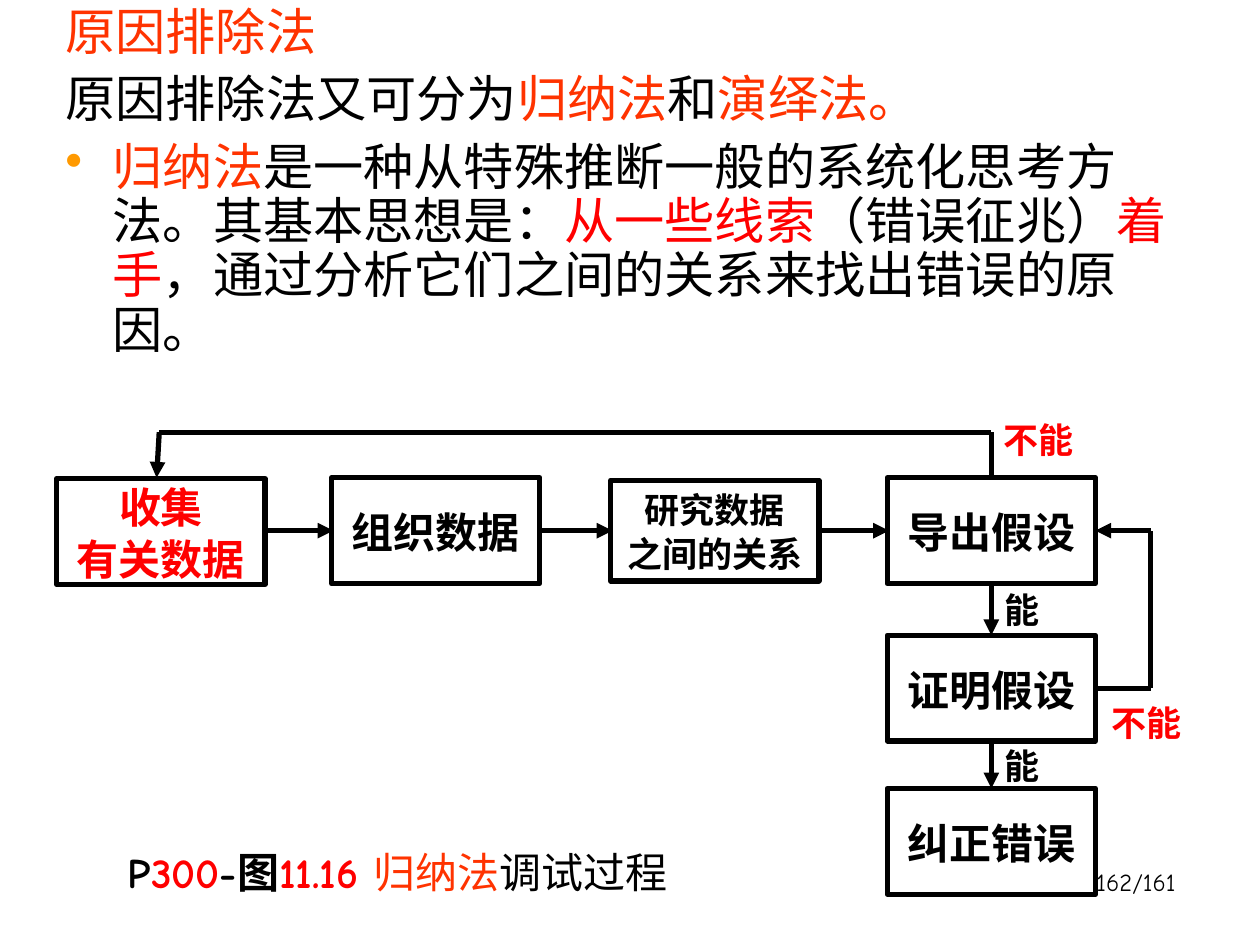
from lxml.etree import SubElement
from pptx import Presentation
from pptx.dml.color import RGBColor
from pptx.enum.shapes import MSO_CONNECTOR, MSO_SHAPE
from pptx.enum.text import MSO_ANCHOR, MSO_AUTO_SIZE, PP_ALIGN
from pptx.oxml.ns import qn
from pptx.util import Pt

BLACK = RGBColor(0x00, 0x00, 0x00)
RED = RGBColor(0xFF, 0x00, 0x00)
ORANGE_RED = RGBColor(0xFF, 0x33, 0x00)
BULLET_COLOR = "FF9900"
CJK, COMIC, TIMES = "Noto Sans CJK SC", "Comic Neue", "Times New Roman"


def add_run(p, text, size, font, color, bold=False):
    r = p.add_run()
    r.text = text
    r.font.size = Pt(size)
    r.font.name = font
    r.font.bold = bold
    r.font.color.rgb = color
    SubElement(r.font._element, qn("a:ea")).set("typeface", CJK)


def add_text(slide, box, wrap=True, grow=False):
    tf = slide.shapes.add_textbox(*map(Pt, box)).text_frame
    tf.word_wrap = wrap
    tf.auto_size = MSO_AUTO_SIZE.SHAPE_TO_FIT_TEXT if grow else MSO_AUTO_SIZE.NONE
    return tf


def fill_centered(tf, lines, size, color):
    tf.vertical_anchor = MSO_ANCHOR.MIDDLE
    for i, line in enumerate(lines):
        p = tf.add_paragraph() if i else tf.paragraphs[0]
        p.alignment = PP_ALIGN.CENTER
        p.line_spacing = 1.05
        add_run(p, line, size, TIMES, color, True)


def add_node(slide, box, lines, size=24, color=BLACK, wrap=False):
    sp = slide.shapes.add_shape(MSO_SHAPE.RECTANGLE, *map(Pt, box))
    sp.shadow.inherit = False
    sp.fill.background()
    sp.line.color.rgb = BLACK
    sp.line.width = Pt(3)
    sp.text_frame.word_wrap = wrap
    fill_centered(sp.text_frame, lines, size, color)


def add_label(slide, box, text, color):
    fill_centered(add_text(slide, box, wrap=False, grow=True), [text], 20, color)


def add_path(slide, points, arrow=True):
    """Join the points with straight lines, the last one with an arrowhead."""
    segments = list(zip(points, points[1:]))
    for i, (start, end) in enumerate(segments):
        cx = slide.shapes.add_connector(MSO_CONNECTOR.STRAIGHT, *map(Pt, start + end))
        cx.line.color.rgb = BLACK
        cx.line.width = Pt(3)
        if arrow and i == len(segments) - 1:
            SubElement(cx.line._get_or_add_ln(), qn("a:tailEnd")).set("type", "triangle")
        SubElement(cx._element.spPr, qn("a:effectLst"))


def add_body(slide, box):
    paragraphs = [
        (False, [("原因排除法", ORANGE_RED)]),
        (False, [("原因排除法又可分为", BLACK), ("归纳法", ORANGE_RED),
                 ("和", BLACK), ("演绎法。", ORANGE_RED)]),
        (True, [("归纳法", ORANGE_RED),
                ("是一种从特殊推断一般的系统化思考方法。其基本思想是：", BLACK),
                ("从一些线索", RED), ("（错误征兆）", BLACK), ("着手", RED),
                ("，通过分析它们之间的关系来找出错误的原因。", BLACK)]),
    ]
    tf = add_text(slide, box)
    for i, (bulleted, runs) in enumerate(paragraphs):
        p = tf.add_paragraph() if i else tf.paragraphs[0]
        p.line_spacing = 0.9
        if i:
            p.space_before = Pt(7.7)
        pPr = p._p.get_or_add_pPr()
        pPr.set("marL", str(Pt(27)))
        pPr.set("indent", str(-Pt(27)))
        pPr.set("hangingPunct", "0")
        if bulleted:
            clr = SubElement(pPr, qn("a:buClr"))
            SubElement(clr, qn("a:srgbClr")).set("val", BULLET_COLOR)
            SubElement(pPr, qn("a:buChar")).set("char", "•")
        else:
            SubElement(pPr, qn("a:buNone"))
        for text, color in runs:
            add_run(p, text, 28.7, CJK, color)


def add_flowchart(slide, box):
    left, top, width, height = box
    node_w, node_h = 119, 60.5
    row_y = top + 38.5
    mid_y = row_y + node_h / 2
    col_x = [left, left + 157, left + 316.5, left + 474.5]
    last_x = col_x[3]
    center_x = last_x + node_w / 2
    right_x = left + width - 26
    loop_y = top + 12.5
    verify_y, fix_y = row_y + 90, row_y + 177.5

    # Process boxes
    add_node(slide, (col_x[0], row_y + 0.5, node_w, node_h), ["收集", "有关数据"], color=RED)
    add_node(slide, (col_x[1], row_y, node_w, node_h), ["组织数据"])
    add_node(slide, (col_x[2], row_y + 1.5, node_w, node_h - 3),
             ["研究数据", "之间的关系"], size=20, wrap=True)
    for y, text in ((row_y, "导出假设"), (verify_y, "证明假设"), (fix_y, "纠正错误")):
        add_node(slide, (last_x, y, node_w, node_h), [text])

    # Forward arrows
    for x, next_x in zip(col_x, col_x[1:]):
        add_path(slide, [(x + node_w - 1, mid_y), (next_x + 1, mid_y)])
    for y, next_y in ((row_y, verify_y), (verify_y, fix_y)):
        add_path(slide, [(center_x, y + node_h), (center_x, next_y)])
        label_y = (y + node_h + next_y) / 2 - 16.5
        add_label(slide, (center_x, label_y, 34.5, 32.4), "能", BLACK)

    # Feedback loops
    verify_mid = verify_y + node_h / 2
    node_right = last_x + node_w
    add_path(slide, [(node_right, verify_mid), (right_x, verify_mid),
                     (right_x, mid_y), (node_right, mid_y)])
    add_label(slide, (node_right + 2, verify_mid + 3, 55, 32.4), "不能", RED)
    start_x = left + node_w / 2
    add_path(slide, [(center_x, row_y), (center_x, loop_y),
                     (start_x - 1, loop_y), (start_x - 2.5, row_y)])
    add_label(slide, (center_x - 0.5, top, 55, 32.4), "不能", RED)


def add_caption(slide, box):
    p = add_text(slide, box, grow=True).paragraphs[0]
    for text, font, color, bold in (
        ("P", COMIC, BLACK, True), ("300", COMIC, RED, True),
        ("-图", COMIC, BLACK, True), ("11.16 ", COMIC, RED, True),
        ("归纳法", CJK, ORANGE_RED, False), ("调试过程", COMIC, BLACK, False),
    ):
        add_run(p, text, 24, font, color, bold)


def add_page_number(slide, box):
    p = add_text(slide, box).paragraphs[0]
    p.alignment = PP_ALIGN.RIGHT
    add_run(p, "162/161", 14, COMIC, BLACK)


def main():
    prs = Presentation()
    prs.slide_width, prs.slide_height = Pt(720), Pt(540)
    s = prs.slides.add_slide(prs.slide_layouts[6])
    add_page_number(s, (529, 492, 150, 36))
    add_body(s, (30.3, 0.3, 657.3, 234))
    add_flowchart(s, (32.5, 234.5, 651, 277))
    add_caption(s, (66, 480, 378, 36))
    prs.save("out.pptx")


if __name__ == "__main__":
    main()
